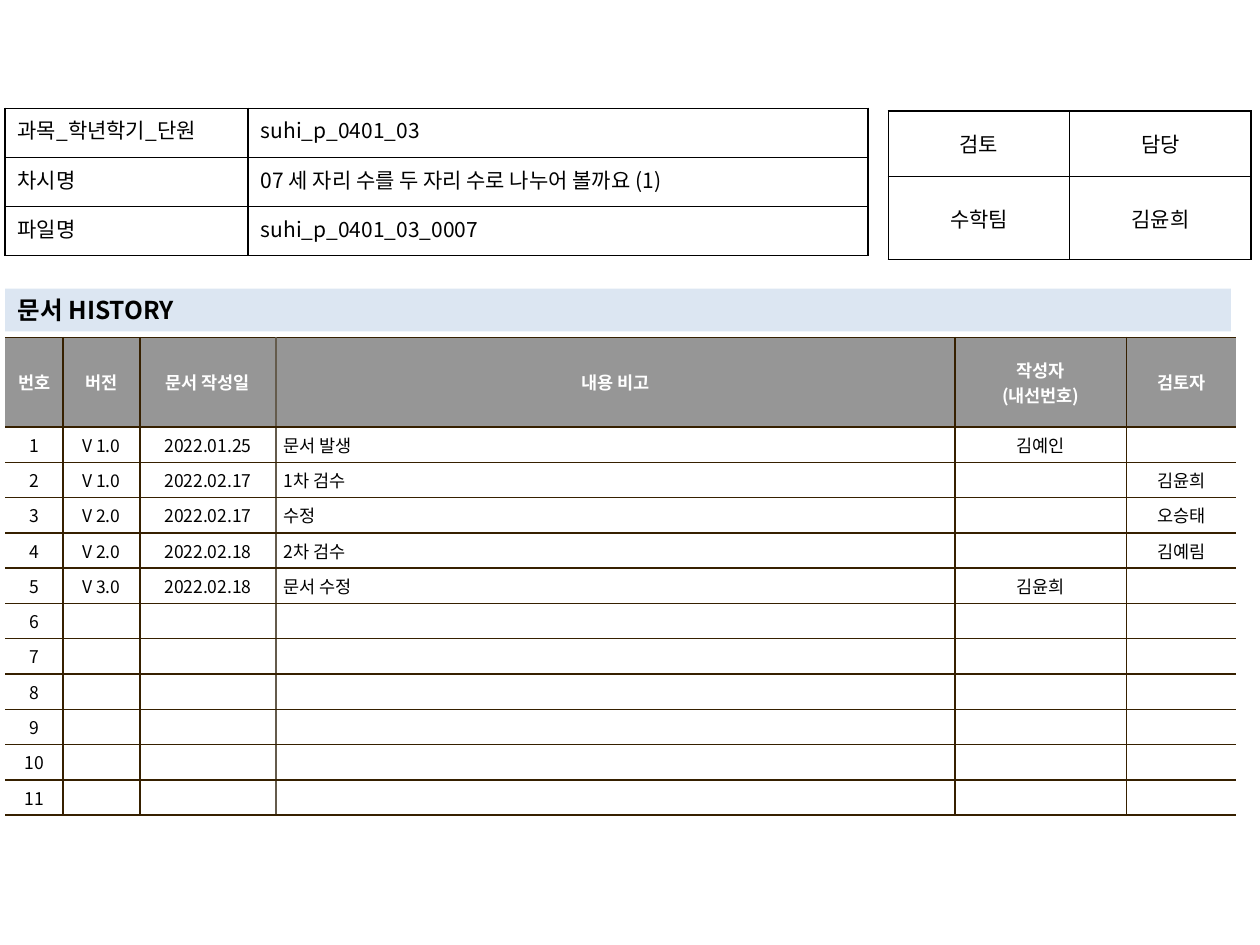
from dataclasses import dataclass

from lxml import etree
from pptx import Presentation
from pptx.dml.color import RGBColor
from pptx.enum.text import MSO_ANCHOR, MSO_AUTO_SIZE, PP_ALIGN
from pptx.oxml.ns import qn
from pptx.util import Inches, Pt

FONT = "Noto Sans CJK KR"
BLACK, WHITE = "000000", "FFFFFF"
BROWN, TAUPE, GREY, PALE_BLUE = "362000", "645B4C", "969696", "DCE6F2"
LEFT, CENTER, JUSTIFY = PP_ALIGN.LEFT, PP_ALIGN.CENTER, PP_ALIGN.JUSTIFY


@dataclass
class Grid:
    left: float
    top: float
    columns: list[float]
    rows: list[float]
    texts: list[list[str]]
    aligns: list[PP_ALIGN]
    size: int
    margins: tuple[float, float]
    anchor: MSO_ANCHOR
    line: str = BLACK
    fill: str | None = None
    header_fill: str | None = None
    open_sides: bool = False
    soft_divider: int | None = None


def rgb(value: str) -> RGBColor:
    return RGBColor.from_string(value)


def write(frame, text: str, size: int, align: PP_ALIGN, color: str = BLACK, bold: bool = False) -> None:
    frame.text = text
    for paragraph in frame.paragraphs:
        paragraph.alignment = align
        for run in paragraph.runs:
            font = run.font
            font.size, font.bold, font.name = Pt(size), bold, FONT
            font.color.rgb = rgb(color)
            east_asian = etree.SubElement(run._r.get_or_add_rPr(), qn("a:ea"))
            east_asian.set("typeface", FONT)
        if not paragraph.runs:
            # Empty cells keep the row's text height
            end = etree.SubElement(paragraph._p, qn("a:endParaRPr"))
            end.set("sz", str(size * 100))


def border(cell, side: str, color: str | None) -> None:
    line = etree.SubElement(cell._tc.get_or_add_tcPr(), qn(f"a:ln{side}"), w=str(Pt(1)))
    if color is None:
        etree.SubElement(line, qn("a:noFill"))
    else:
        fill = etree.SubElement(line, qn("a:solidFill"))
        etree.SubElement(fill, qn("a:srgbClr"), val=color)


def edge_color(grid: Grid, edge: int) -> str | None:
    """Colour of a vertical rule, counted from the left side of the grid."""
    if grid.open_sides and edge in (0, len(grid.columns)):
        return None
    return TAUPE if edge == grid.soft_divider else grid.line


def draw_grid(slide, grid: Grid) -> None:
    table = slide.shapes.add_table(
        len(grid.rows), len(grid.columns), Inches(grid.left), Inches(grid.top),
        Inches(sum(grid.columns)), Inches(sum(grid.rows))).table
    table.first_row = table.horz_banding = False
    for column, width in zip(table.columns, grid.columns):
        column.width = Inches(width)
    for r, height in enumerate(grid.rows):
        table.rows[r].height = Inches(height)
        header = r == 0 and grid.header_fill is not None
        for c, align in enumerate(grid.aligns):
            cell = table.cell(r, c)
            cell.margin_left = cell.margin_right = Inches(grid.margins[0])
            cell.margin_top = cell.margin_bottom = Inches(grid.margins[1])
            cell.vertical_anchor = grid.anchor
            border(cell, "L", edge_color(grid, c))
            border(cell, "R", edge_color(grid, c + 1))
            border(cell, "T", grid.line)
            border(cell, "B", grid.line)
            fill = grid.header_fill if header else grid.fill
            if fill is None:
                cell.fill.background()
            else:
                cell.fill.solid()
                cell.fill.fore_color.rgb = rgb(fill)
            write(cell.text_frame, grid.texts[r][c], grid.size,
                  CENTER if header else align, WHITE if header else BLACK, header)


prs = Presentation()
prs.slide_width, prs.slide_height = Inches(10), Inches(7.5)
slide = prs.slides.add_slide(prs.slide_layouts[5])

# Section heading
heading = slide.shapes.title
heading.left, heading.top = Inches(0.04), Inches(2.29)
heading.width, heading.height = Inches(9.73), Inches(0.34)
heading.fill.solid()
heading.fill.fore_color.rgb = rgb(PALE_BLUE)
heading.text_frame.auto_size = MSO_AUTO_SIZE.NONE
heading.text_frame.vertical_anchor = MSO_ANCHOR.MIDDLE
write(heading.text_frame, "문서 HISTORY", 14, LEFT, bold=True)

# Revision history: five entries, then numbered blank rows
entries = [
    ["V 1.0", "2022.01.25", "문서 발생", "김예인", ""],
    ["V 1.0", "2022.02.17", "1차 검수", "", "김윤희"],
    ["V 2.0", "2022.02.17", "수정", "", "오승태"],
    ["V 2.0", "2022.02.18", "2차 검수", "", "김예림"],
    ["V 3.0", "2022.02.18", "문서 수정", "김윤희", ""],
]
entry_count = 11
entries += [[""] * 5 for _ in range(entry_count - len(entries))]
history = Grid(
    0.04, 2.68, [0.46, 0.61, 1.08, 5.39, 1.36, 0.87], [0.71] + [0.25] * entry_count,
    [["번호", "버전", "문서 작성일", "내용 비고", "작성자\n(내선번호)", "검토자"]]
    + [[str(number), *entry] for number, entry in enumerate(entries, 1)],
    [CENTER, CENTER, CENTER, LEFT, CENTER, CENTER], 10, (0.06, 0.04), MSO_ANCHOR.MIDDLE,
    line=BROWN, fill=WHITE, header_fill=GREY, open_sides=True, soft_divider=3)

# Approval box
approval = Grid(
    7.05, 0.88, [1.44] * 2, [0.52, 0.66], [["검토", "담당"], ["수학팀", "김윤희"]],
    [CENTER] * 2, 12, (0.1, 0.05), MSO_ANCHOR.MIDDLE)

# Document details
details = Grid(
    0.04, 0.86, [1.93, 4.92], [0.39] * 3,
    [["과목_학년학기_단원", "suhi_p_0401_03"],
     ["차시명", "07 세 자리 수를 두 자리 수로 나누어 볼까요 (1)"],
     ["파일명", "suhi_p_0401_03_0007"]],
    [JUSTIFY, LEFT], 12, (0.1, 0.05), MSO_ANCHOR.TOP)

for grid in (history, approval, details):
    draw_grid(slide, grid)

prs.save("out.pptx")
